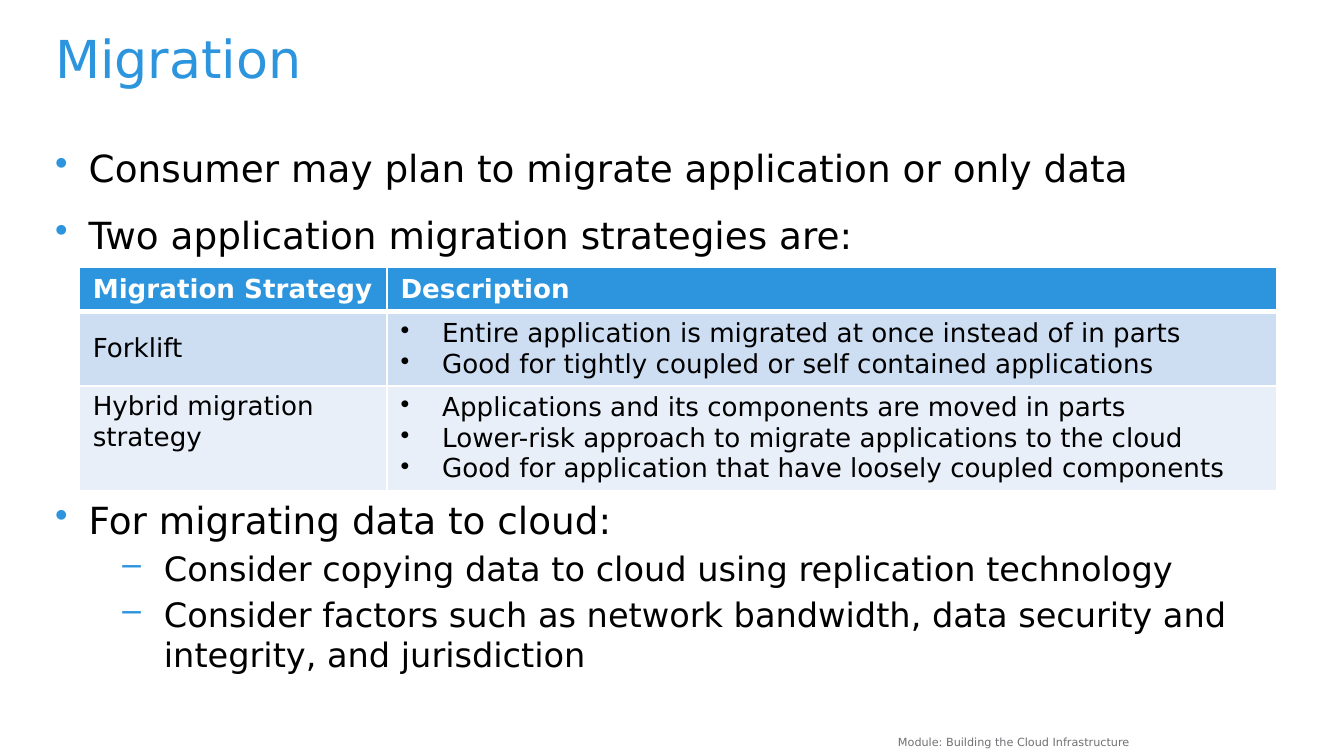
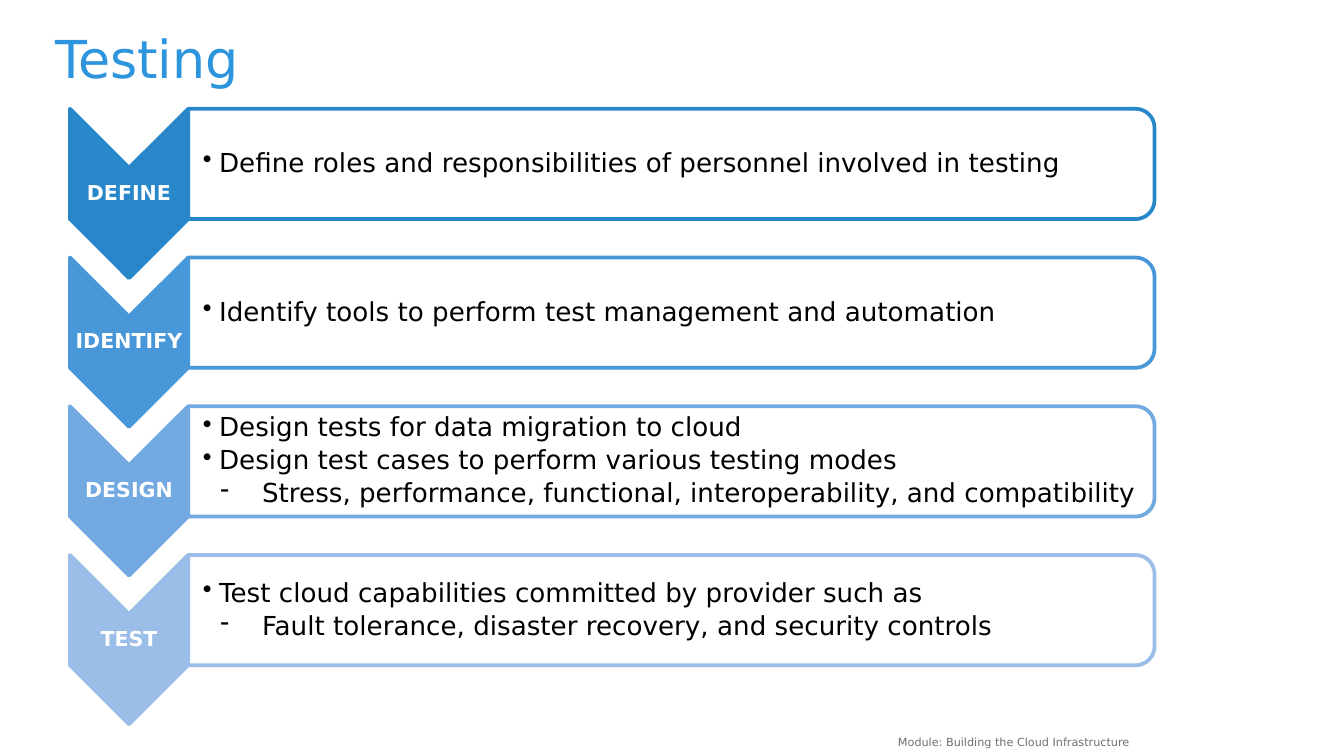
from math import cos, pi, sin

from lxml.etree import SubElement
from pptx import Presentation
from pptx.dml.color import RGBColor
from pptx.enum.text import MSO_ANCHOR, PP_ALIGN
from pptx.oxml.ns import qn
from pptx.util import Inches, Pt

FONT = "DejaVu Sans"
COLOURS = {
    "accent": "2C95DD", "text": "000000", "footer": "717074", "white": "FFFFFF",
    "row_dark": "CDDDF2", "row_light": "E8EFF9",
    "define": "2887C9", "identify": "4898D9", "design": "72A9E0", "test": "9ABEE8",
}
# Paragraph styles: size, then bullet, left indent, hang, space before and after, level
STYLES = {
    "title": dict(size=28, colour="accent", spacing=0.9),
    "footer": dict(size=6, colour="footer", align=PP_ALIGN.RIGHT),
    "point": dict(size=20, bullet="•", bullet_colour="accent", left=0.25, hang=0.25, before=12),
    "subpoint": dict(size=18, bullet="–", bullet_colour="accent", left=0.81, hang=0.31,
                     before=3, level=1),
    "header": dict(size=14, colour="white", bold=True),
    "cell": dict(size=14),
    "cell_point": dict(size=14, bullet="•", left=0.31, hang=0.31),
    "step": dict(size=11, colour="white", bold=True, align=PP_ALIGN.CENTER, spacing=0.9),
    "bar": dict(size=14, bullet="•", left=0.12, hang=0.12, spacing=0.9, after=2.5, level=1),
    "subbar": dict(size=14, bullet="-", left=0.44, hang=0.31, spacing=0.9, after=2.5, level=2),
}


def rgb(name):
    return RGBColor.from_string(COLOURS[name])


def add_solid(parent, name):
    fill = SubElement(parent, qn("a:solidFill"))
    SubElement(fill, qn("a:srgbClr"), val=COLOURS[name])


class SlideBuilder:
    """Holds the deck, its style and the current page."""

    def __init__(self):
        self.deck = Presentation()
        self.deck.slide_width = Inches(10)
        self.deck.slide_height = Inches(10 * 9 / 16)
        self.page = None

    def new_page(self, title):
        self.page = self.deck.slides.add_slide(self.deck.slide_layouts[6])
        self.text(0.41, 0.25, 9.25, 0.5, [("title", title)])
        self.text(2.83, 5.42, 5.67, 0.15,
                  [("footer", "Module: Building the Cloud Infrastructure")],
                  (0.1, 0.05, 0.1, 0.05))

    def style(self, para, text, size, colour="text", bold=False, align=PP_ALIGN.LEFT,
              spacing=None, bullet=None, bullet_colour="text", left=0, hang=0,
              before=0, after=0, level=0):
        para.text = text
        para.alignment = align
        para.level = level
        para.space_before = Pt(before)
        para.space_after = Pt(after)
        if spacing:
            para.line_spacing = spacing
        if bullet:
            properties = para._p.get_or_add_pPr()
            properties.set("marL", str(Inches(left)))
            properties.set("indent", str(-Inches(hang)))
            bullet_fill = SubElement(properties, qn("a:buClr"))
            SubElement(bullet_fill, qn("a:srgbClr"), val=COLOURS[bullet_colour])
            SubElement(properties, qn("a:buChar"), char=bullet)
        for span in para.runs:
            span.font.name = FONT
            span.font.size = Pt(size)
            span.font.bold = bold
            span.font.color.rgb = rgb(colour)

    def fill_frame(self, frame, lines):
        for index, (style, text) in enumerate(lines):
            para = frame.add_paragraph() if index else frame.paragraphs[0]
            settings = dict(STYLES[style])
            if index == 0:
                settings["before"] = 0
            self.style(para, text, **settings)

    def set_frame(self, frame, lines, margins, anchor):
        frame.word_wrap = True
        frame.vertical_anchor = anchor
        (frame.margin_left, frame.margin_top,
         frame.margin_right, frame.margin_bottom) = map(Inches, margins)
        self.fill_frame(frame, lines)

    def text(self, left, top, width, height, lines, margins=(0, 0, 0, 0)):
        box = self.page.shapes.add_textbox(*map(Inches, (left, top, width, height)))
        self.set_frame(box.text_frame, lines, margins, MSO_ANCHOR.TOP)

    def outline(self, points, fill, line, lines, margins, opacity=100):
        corners = [(Inches(x), Inches(y)) for x, y in points]
        builder = self.page.shapes.build_freeform(*corners[0])
        builder.add_line_segments(corners[1:], close=True)
        shape = builder.convert_to_shape()
        shape.shadow.inherit = False
        shape.fill.solid()
        shape.fill.fore_color.rgb = rgb(fill)
        if opacity < 100:
            colour = shape._element.spPr.find(qn("a:solidFill"))[0]
            SubElement(colour, qn("a:alpha"), val=str(opacity * 1000))
        shape.line.color.rgb = rgb(line)
        shape.line.width = Pt(2)
        SubElement(shape.line._get_or_add_ln(), qn("a:round"))
        self.set_frame(shape.text_frame, lines, margins, MSO_ANCHOR.MIDDLE)

    def cell(self, cell, lines, fill, bottom=1, anchor=MSO_ANCHOR.MIDDLE):
        self.fill_frame(cell.text_frame, lines)
        cell.vertical_anchor = anchor
        cell.margin_top = cell.margin_bottom = Inches(0.04)
        properties = cell._tc.get_or_add_tcPr()
        for side, width in (("L", 1), ("R", 1), ("T", 1), ("B", bottom)):
            border = SubElement(properties, qn(f"a:ln{side}"), w=str(Pt(width)))
            add_solid(border, "white")
        cell.fill.solid()
        cell.fill.fore_color.rgb = rgb(fill)

    def table(self, left, top, widths, heights):
        table = self.page.shapes.add_table(
            len(heights), len(widths), Inches(left), Inches(top),
            Inches(sum(widths)), Inches(sum(heights))).table
        for column, width in zip(table.columns, widths):
            column.width = Inches(width)
        for row, height in zip(table.rows, heights):
            row.height = Inches(height)
        return table


def build_migration(slides):
    slides.new_page("Migration")

    # Bullets above and below the table
    slides.text(0.41, 1.08, 9.25, 0.85, [
        ("point", "Consumer may plan to migrate application or only data"),
        ("point", "Two application migration strategies are:"),
    ])
    slides.text(0.41, 3.7, 9.25, 1.35, [
        ("point", "For migrating data to cloud:"),
        ("subpoint", "Consider copying data to cloud using replication technology"),
        ("subpoint", "Consider factors such as network bandwidth, data security and "
                     "integrity, and jurisdiction"),
    ])

    # Strategy table
    table = slides.table(0.59, 1.99, (2.29, 6.62), (0.33, 0.55, 0.78))
    for column, heading in enumerate(("Migration Strategy", "Description")):
        slides.cell(table.cell(0, column), [("header", heading)], "accent", bottom=3)
    strategies = [
        ("Forklift", "row_dark", MSO_ANCHOR.MIDDLE, [
            "Entire application is migrated at once instead of in parts",
            "Good for tightly coupled or self contained applications"]),
        ("Hybrid migration strategy", "row_light", MSO_ANCHOR.TOP, [
            "Applications and its components are moved in parts",
            "Lower-risk approach to migrate applications to the cloud",
            "Good for application that have loosely coupled components"]),
    ]
    for row, (strategy, fill, anchor, points) in enumerate(strategies, start=1):
        slides.cell(table.cell(row, 0), [("cell", strategy)], fill, anchor=anchor)
        slides.cell(table.cell(row, 1), [("cell_point", point) for point in points], fill)


def build_testing(slides):
    slides.new_page("Testing")
    steps = [
        ("define", [("bar", "Define roles and responsibilities of personnel involved in testing")]),
        ("identify", [("bar", "Identify tools to perform test management and automation")]),
        ("design", [
            ("bar", "Design tests for data migration to cloud"),
            ("bar", "Design test cases to perform various testing modes"),
            ("subbar", "Stress, performance, functional, interoperability, and compatibility")]),
        ("test", [
            ("bar", "Test cloud capabilities committed by provider such as"),
            ("subbar", "Fault tolerance, disaster recovery, and security controls")]),
    ]
    left, middle, edge, right = 0.52, 0.96, 1.4, 8.59
    height, notch, radius = 0.82, 0.44, 0.14
    first_top, last_top = 0.81, 4.13
    pitch = (last_top - first_top) / (len(steps) - 1)
    quarter = [pi / 2 * part / 8 for part in range(9)]

    for index, (name, lines) in enumerate(steps):
        top = first_top + index * pitch
        bottom = top + height

        # Downward chevron with the step name
        chevron = [(edge, top), (edge, bottom), (middle, bottom + notch),
                   (left, bottom), (left, top), (middle, top + notch)]
        slides.outline(chevron, name, name, [("step", name.upper())],
                       (0.01, 0.45, 0.01, 0.45))

        # Bar with its right corners rounded
        centre = right - radius
        upper = [(centre + radius * sin(angle), top + radius * (1 - cos(angle)))
                 for angle in quarter]
        lower = [(x, top + bottom - y) for x, y in reversed(upper)]
        slides.outline([(edge, top), *upper, *lower, (edge, bottom)], "white", name,
                       lines, (0.11, 0.05, 0.05, 0.05), opacity=90)


def main():
    slides = SlideBuilder()
    build_migration(slides)
    build_testing(slides)
    slides.deck.save("out.pptx")


if __name__ == "__main__":
    main()
